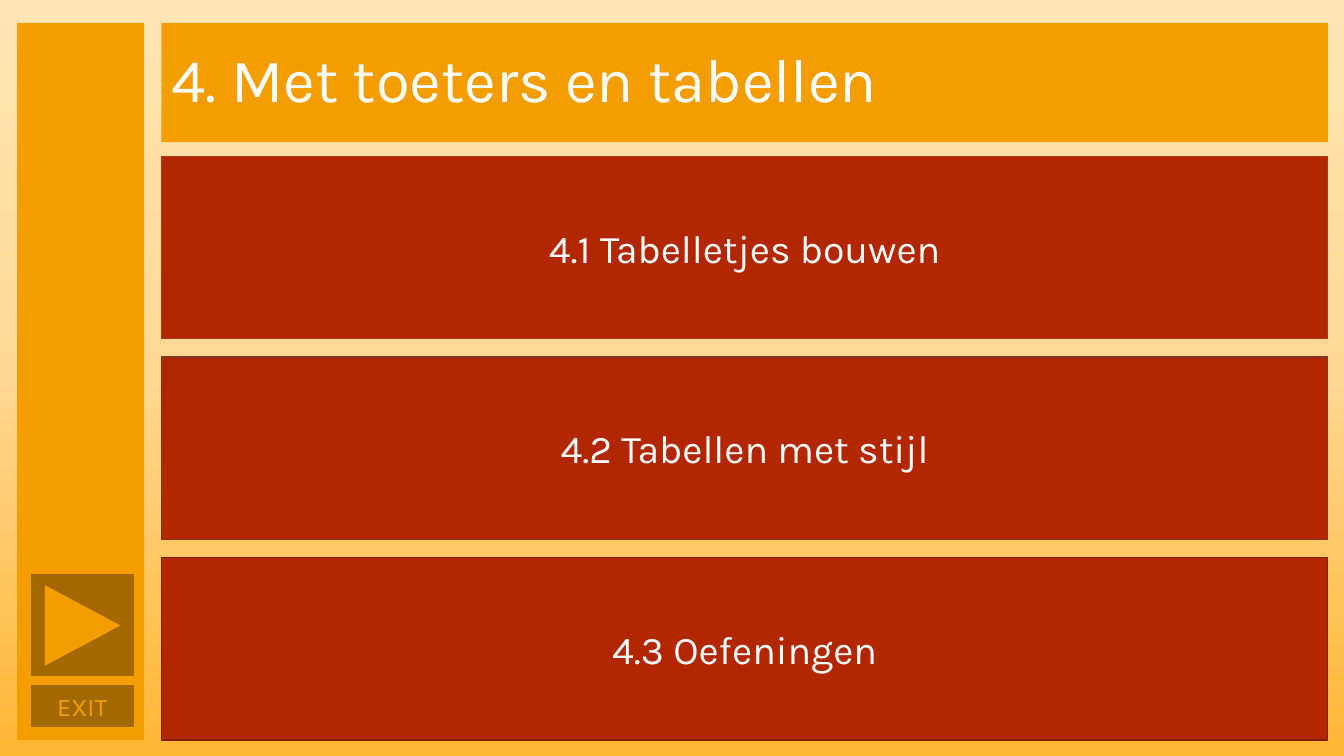
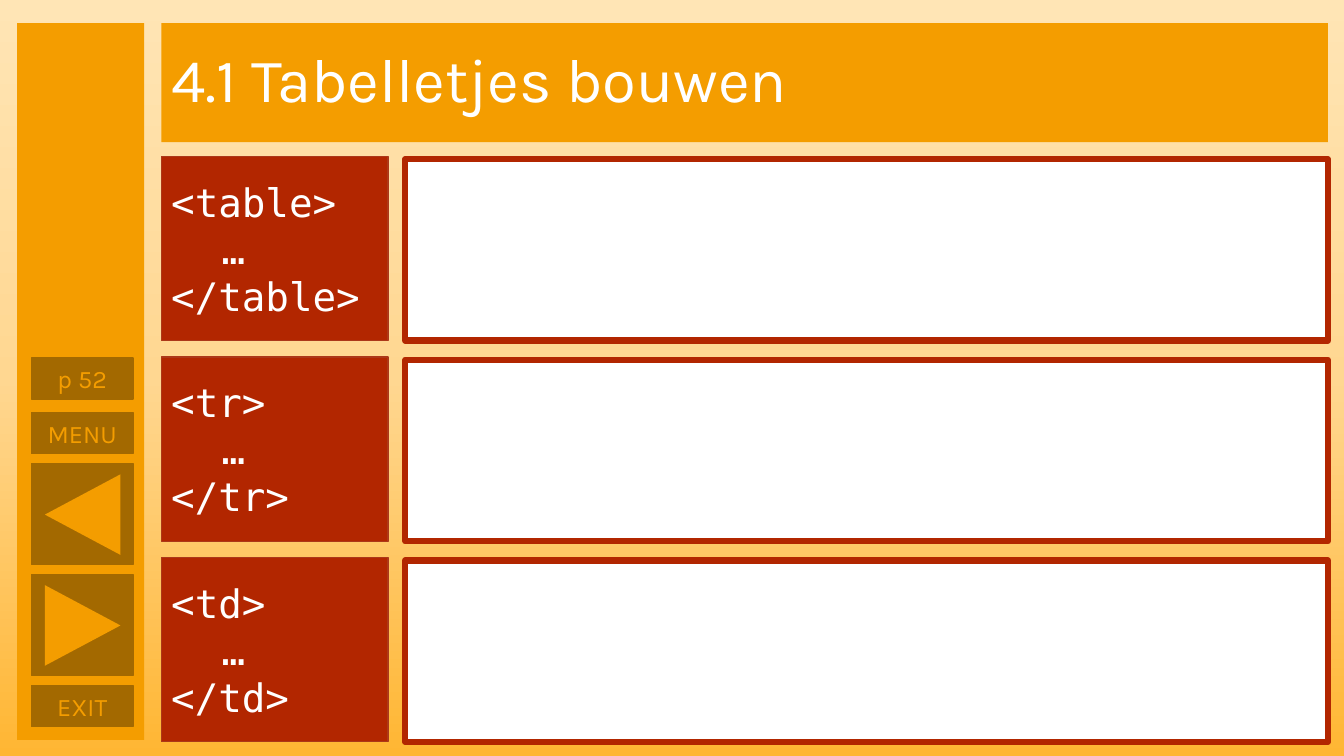
"""Build two slides of an HTML course chapter about tables."""
from copy import deepcopy

from pptx import Presentation
from pptx.dml.color import RGBColor
from pptx.enum.shapes import MSO_SHAPE as Shape
from pptx.enum.text import MSO_ANCHOR as Anchor, MSO_AUTO_SIZE as AutoSize, PP_ALIGN as Align
from pptx.oxml.ns import qn
from pptx.util import Emu, Pt

PX = 9144
COLORS = {
    "sky_top": "FFE5B5", "sky_middle": "FFD791", "sky_bottom": "FFB633",
    "orange": "F49D00", "brown": "A36900", "red": "B22600", "white": "FFFFFF",
    "edge_light": "AC3819", "edge_mid": "87361C", "edge_dark": "841C00",
}
FONT, CODE_FONT = "Karla", "DejaVu Sans Mono"
CONTENT_LEFT, CONTENT_WIDTH = 160, 1157
ROW_TOP, ROW_PITCH = 155, 199
BUTTON_LEFT, BUTTON_WIDTH = 31, 101
LABEL_HEIGHT, ARROW_HEIGHT = 41, 100
EXIT_TOP, NEXT_TOP, BACK_TOP, MENU_TOP, PAGE_TOP = 680, 570, 460, 409, 355


def px(value):
    """Turn px into EMU."""
    return Emu(value * PX)


def rgb(name):
    """Look up a colour by name."""
    return RGBColor.from_string(COLORS[name])


def row_top(index):
    """Return the top of a content row."""
    return ROW_TOP + index * ROW_PITCH


def add_box(page, left, top, width, height, fill, edge=None, weight=1, kind=Shape.RECTANGLE):
    """Add a flat preset shape, outlined if an edge colour is given."""
    box = page.shapes.add_shape(kind, px(left), px(top), px(width), px(height))
    box.shadow.inherit = False
    box.fill.solid()
    box.fill.fore_color.rgb = rgb(fill)
    if edge:
        box.line.color.rgb = rgb(edge)
        box.line.width = Pt(weight)
    else:
        box.line.fill.background()
    return box


def write(para, text, size, color="white", font=FONT, align=Align.LEFT):
    """Add one formatted run to a paragraph."""
    para.alignment = align
    span = para.add_run()
    span.text = text
    span.font.size = Pt(size)
    span.font.name = font
    span.font.color.rgb = rgb(color)


def add_label(page, top, text):
    """Add a sidebar button with a caption."""
    box = add_box(page, BUTTON_LEFT, top, BUTTON_WIDTH, LABEL_HEIGHT, "brown", "brown")
    write(box.text_frame.paragraphs[0], text, 18, "orange", align=Align.CENTER)


def add_arrow_button(page, top, rotation):
    """Add a sidebar button with a triangle turned left or right."""
    add_box(page, BUTTON_LEFT, top, BUTTON_WIDTH, ARROW_HEIGHT, "brown", "brown")
    arrow = add_box(page, 42, top + 13, 80, 75, "orange", kind=Shape.ISOSCELES_TRIANGLE)
    arrow.rotation = rotation


def add_menu_row(page, index, text, edge):
    """Add a full-width chapter entry."""
    box = add_box(page, CONTENT_LEFT, row_top(index), CONTENT_WIDTH, 181, "red", edge)
    write(box.text_frame.paragraphs[0], text, 28, align=Align.CENTER)


def add_tag_row(page, index, tag):
    """Add a code box for an HTML tag and the empty panel beside it."""
    top = row_top(index)
    box = add_box(page, CONTENT_LEFT, top, 225, 183, "red", "edge_light")
    frame = box.text_frame
    for number, (text, level) in enumerate([(f"<{tag}>", 0), ("…", 1), (f"</{tag}>", 0)]):
        para = frame.add_paragraph() if number else frame.paragraphs[0]
        para.level = level
        write(para, text, 28, font=CODE_FONT)
    add_box(page, 402, top + 3, 915, 180, "white", "red", 4.5)


def set_background(master):
    """Give the master a three-colour vertical gradient."""
    fill = master.background.fill
    fill.gradient()
    fill.gradient_angle = 270
    stops = master.element.find(".//" + qn("a:gsLst"))
    stops.append(deepcopy(stops[-1]))
    names = ["sky_top", "sky_middle", "sky_bottom"]
    for stop, name, position in zip(fill.gradient_stops, names, [0, 0.5, 1]):
        stop.color.rgb = rgb(name)
        stop.position = position


def add_page(deck, heading):
    """Add a slide with its title band, sidebar and shared buttons."""
    page = deck.slides.add_slide(deck.slide_layouts[5])
    title = page.shapes.title
    title.left, title.top = px(CONTENT_LEFT), px(23)
    title.width, title.height = px(CONTENT_WIDTH), px(118)
    title.fill.solid()
    title.fill.fore_color.rgb = rgb("orange")
    title.text_frame.vertical_anchor = Anchor.MIDDLE
    title.text_frame.auto_size = AutoSize.NONE
    para = title.text_frame.paragraphs[0]
    para.line_spacing = 0.9
    write(para, heading, 44)
    add_box(page, 17, 23, 126, 711, "orange")
    add_label(page, EXIT_TOP, "EXIT")
    add_arrow_button(page, NEXT_TOP, 90)
    return page


def add_chapter_page(deck):
    """Add the chapter menu."""
    page = add_page(deck, "4. Met toeters en tabellen")
    entries = [
        ("4.1 Tabelletjes bouwen", "edge_light"),
        ("4.2 Tabellen met stijl", "edge_mid"),
        ("4.3 Oefeningen", "edge_dark"),
    ]
    for index, (text, edge) in enumerate(entries):
        add_menu_row(page, index, text, edge)


def add_tags_page(deck):
    """Add the overview of table tags."""
    page = add_page(deck, "4.1 Tabelletjes bouwen")
    add_arrow_button(page, BACK_TOP, 270)
    add_label(page, MENU_TOP, "MENU")
    add_label(page, PAGE_TOP, "p 52")
    for index, tag in enumerate(["table", "tr", "td"]):
        add_tag_row(page, index, tag)


def main():
    """Build and save the deck."""
    deck = Presentation()
    deck.slide_width, deck.slide_height = px(1333), px(750)
    set_background(deck.slide_master)
    add_chapter_page(deck)
    add_tags_page(deck)
    deck.save("out.pptx")


if __name__ == "__main__":
    main()
